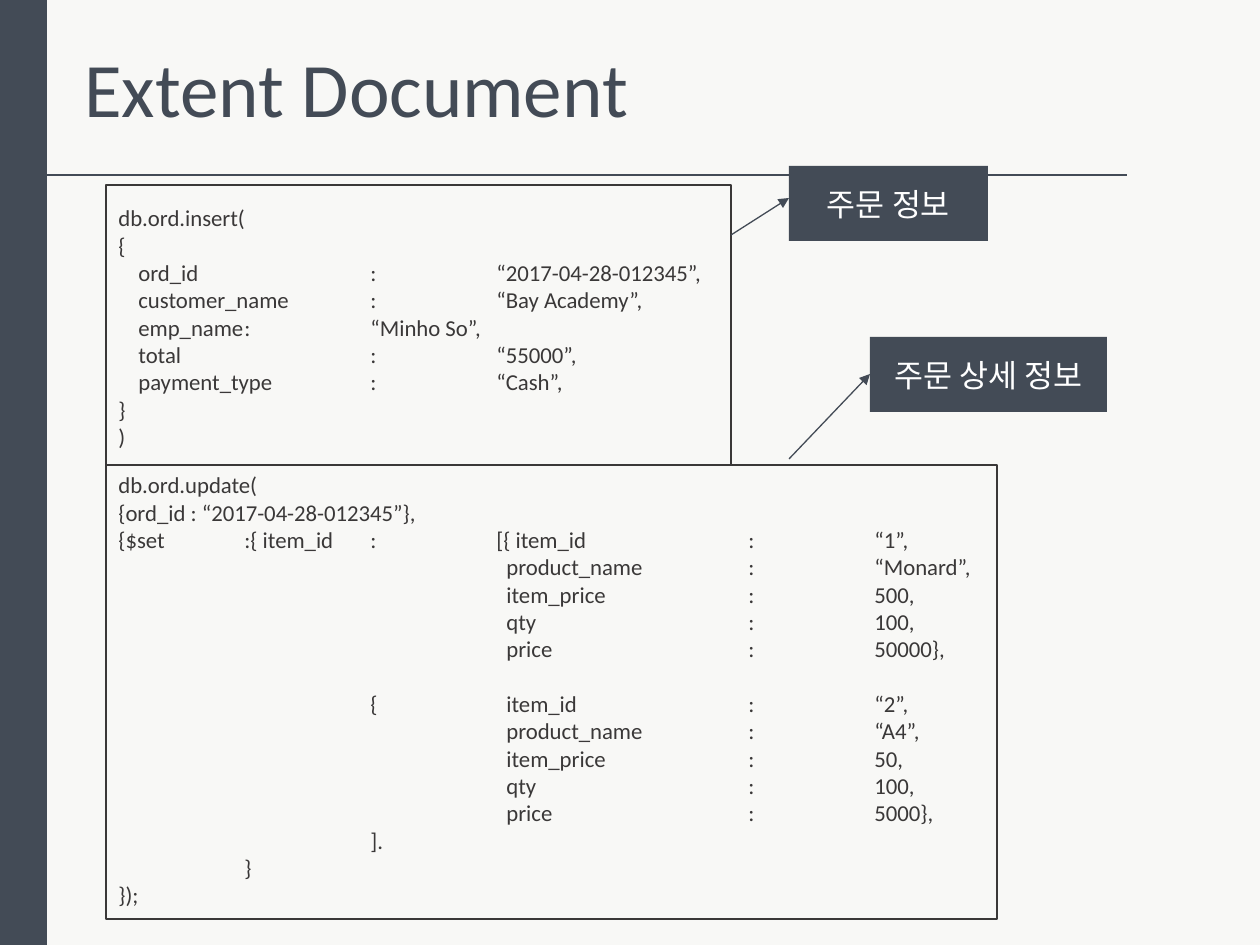
from lxml import etree
from pptx import Presentation
from pptx.dml.color import RGBColor
from pptx.enum.shapes import MSO_CONNECTOR, MSO_SHAPE
from pptx.enum.text import MSO_ANCHOR, PP_ALIGN
from pptx.oxml.ns import qn
from pptx.util import Pt

RECT, LINE = MSO_SHAPE.RECTANGLE, MSO_CONNECTOR.STRAIGHT
TOP, MID = MSO_ANCHOR.TOP, MSO_ANCHOR.MIDDLE
LEFT, MIDDLE = PP_ALIGN.LEFT, PP_ALIGN.CENTER
SLATE, INK, PAPER, WHITE = "434B56", "3A3838", "F8F8F6", "FFFFFF"
INCH = 126  # px
SCALE = 914400 / INCH

# Tab columns, in px from the left edge of the text
FIELD, ONE, TWO, THREE, ITEM, FIVE, SIX = 20, 126, 252, 378, 388, 630, 756


def item(key, value):
    return [(ITEM, key), (FIVE, ":"), (SIX, value)]


def field(key, value, colon=TWO):
    return [(FIELD, key), (colon, ":"), (colon + INCH, value)]


# Content: each line is a list of (column, text)
TITLE = [[(0, "Extent Document")]]
INSERT = [
    [(0, "db.ord.insert(")],
    [(0, "{")],
    field("ord_id", "“2017-04-28-012345”,"),
    field("customer_name", "“Bay Academy”,"),
    field("emp_name", "“Minho So”,", ONE),
    field("total", "“55000”,"),
    field("payment_type", "“Cash”,"),
    [(0, "}")],
    [(0, ")")],
]
UPDATE = [
    [(0, "db.ord.update(")],
    [(0, "{ord_id : “2017-04-28-012345”},")],
    [(0, "{$set"), (ONE, ":{ item_id"), (TWO, ":"), (THREE, "[{ item_id"),
     (FIVE, ":"), (SIX, "“1”,")],
    item("product_name", "“Monard”,"),
    item("item_price", "500,"),
    item("qty", "100,"),
    item("price", "50000},"),
    [(TWO, "{")] + item("item_id", "“2”,"),
    item("product_name", "“A4”,"),
    item("item_price", "50,"),
    item("qty", "100,"),
    item("price", "5000},"),
    [(TWO, "].")],
    [(ONE, "}")],
    [(0, "});")],
]
GAPS = {7: 15.6}  # points above the second item
TAGS = [("주문 정보", (789, 166, 199, 75)),
        ("주문 상세 정보", (870, 337, 237, 75))]
ARROWS = [(731, 235, 789, 198), (789, 459, 870, 374)]


def px(n):
    return round(n * SCALE)


def color(code):
    return RGBColor.from_string(code)


def write(shape, lines, size, ink, align=LEFT, anchor=TOP, gaps={}):
    frame = shape.text_frame
    frame.word_wrap = True
    frame.vertical_anchor = anchor
    for i, cells in enumerate(lines):
        para = frame.paragraphs[0] if i == 0 else frame.add_paragraph()
        para.alignment = align
        if i in gaps:
            para.space_before = Pt(gaps[i])
        stops = [col for col, _ in cells if col]
        if stops:
            tabs = etree.SubElement(para._p.get_or_add_pPr(), qn("a:tabLst"))
            for col in stops:
                etree.SubElement(tabs, qn("a:tab"), pos=str(px(col)), algn="l")
        run = para.add_run()
        run.text = "".join(("\t" if col else "") + text for col, text in cells)
        look = {"name": "Calibri", "size": Pt(size)}
        for key, value in look.items():
            setattr(run.font, key, value)
        run.font.color.rgb = color(ink)


def box(at, fill=None, line=None, width=0.75):
    shape = shapes.add_shape(RECT, *map(px, at))
    shape.shadow.inherit = False
    if fill:
        shape.fill.solid()
        shape.fill.fore_color.rgb = color(fill)
    else:
        shape.fill.background()
    if line:
        shape.line.color.rgb = color(line)
        shape.line.width = Pt(width)
    else:
        shape.line.fill.background()
    return shape


def rule(ends, head=False):
    line = shapes.add_connector(LINE, *map(px, ends))
    line.line.color.rgb = color(SLATE)
    line.line.width = Pt(0.75)
    if head:
        etree.SubElement(line.line._get_or_add_ln(), qn("a:tailEnd"),
                         type="triangle")
    etree.SubElement(line._element.spPr, qn("a:effectLst"))


deck = Presentation()
deck.slide_width, deck.slide_height = px(1260), px(945)
slide = deck.slides.add_slide(deck.slide_layouts[6])
shapes = slide.shapes
slide.background.fill.solid()
slide.background.fill.fore_color.rgb = color(PAPER)

# Side bar, title and rule
box((0, 0, 47, 945), SLATE)
rule((47, 175, 1127, 175))
write(shapes.add_textbox(*map(px, (72, 34, 575, 106))), TITLE, 44, SLATE)

# Code blocks
write(shapes.add_textbox(*map(px, (106, 198, 1025, 261))), INSERT, 13, INK)
box((106, 185, 625, 280), line=INK, width=1)
write(box((106, 465, 891, 454), line=INK), UPDATE, 13, INK, gaps=GAPS)

# Tags and their arrows
for text, at in TAGS:
    write(box(at, SLATE), [[(0, text)]], 18, WHITE, MIDDLE, MID)
for ends in ARROWS:
    rule(ends, head=True)

deck.save("out.pptx")
